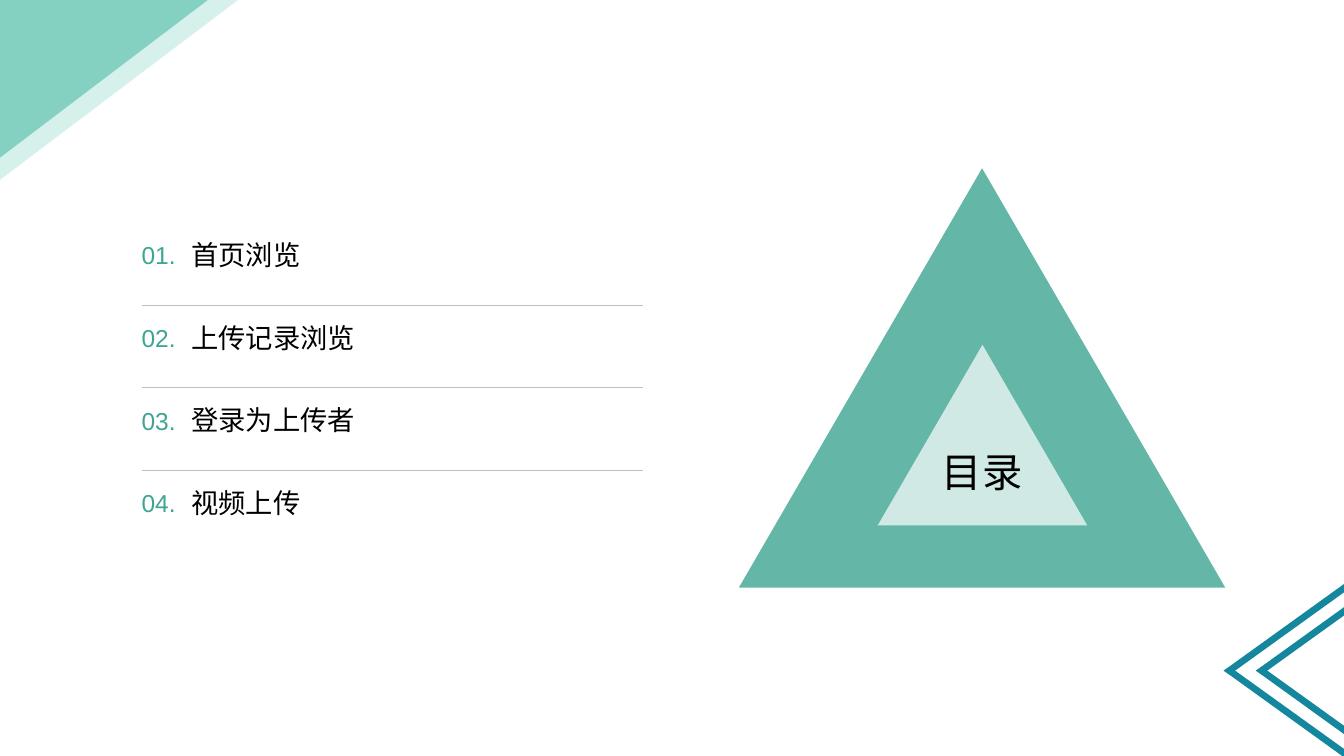
import pptx
import pptx.util
import pptx.dml.color
import pptx.enum.shapes
import pptx.enum.text
import pptx.oxml
import pptx.oxml.ns

Cm = pptx.util.Cm
SHAPES = pptx.enum.shapes.MSO_SHAPE
ALIGN = pptx.enum.text.PP_ALIGN
ANCHOR = pptx.enum.text.MSO_ANCHOR
qn = pptx.oxml.ns.qn

SLIDE_W, SLIDE_H = 33.87, 19.05
TEAL, INK = "3EA592", "000000"
TOPICS = ["首页浏览", "上传记录浏览", "登录为上传者", "视频上传"]


def color(hex_value):
    return pptx.dml.color.RGBColor.from_string(hex_value)


def paint(shape, hex_value, opacity=100):
    shape.shadow.inherit = False
    shape.line.fill.background()
    shape.fill.solid()
    shape.fill.fore_color.rgb = color(hex_value)
    if opacity < 100:
        srgb = shape.fill._xPr.find(".//" + qn("a:srgbClr"))
        alpha = srgb.makeelement(qn("a:alpha"), {"val": str(opacity * 1000)})
        srgb.append(alpha)


def add_preset(slide, preset, box, hex_value, opacity=100):
    shape = slide.shapes.add_shape(preset, *map(Cm, box))
    paint(shape, hex_value, opacity)
    return shape


def add_text(slide, box, text, size, hex_value, inset=(0.25, 0.13),
             wrap=True, anchor=ANCHOR.MIDDLE, align=ALIGN.LEFT):
    frame = slide.shapes.add_textbox(*map(Cm, box)).text_frame
    frame.margin_left = frame.margin_right = Cm(inset[0])
    frame.margin_top = frame.margin_bottom = Cm(inset[1])
    frame.word_wrap = wrap
    frame.vertical_anchor = anchor
    frame.text = text
    paragraph = frame.paragraphs[0]
    paragraph.alignment = align
    font = paragraph.runs[0].font
    font.name = "Arial"
    font.size = pptx.util.Pt(size)
    font.color.rgb = color(hex_value)


def add_divider(slide, left, right, y):
    divider = slide.shapes.add_connector(
        pptx.enum.shapes.MSO_CONNECTOR.STRAIGHT, Cm(left), Cm(y), Cm(right), Cm(y))
    divider.line.color.rgb = color("BFBFBF")
    divider.line.width = pptx.util.Pt(0.25)
    properties = divider._element.spPr
    properties.append(properties.makeelement(qn("a:effectLst"), {}))


def top_left_corner(slide, left, top):
    for width, height, tint in [(6.02, 4.55, "D6F0EB"), (5.26, 3.99, "84D1C2")]:
        corner = add_preset(slide, SHAPES.RIGHT_TRIANGLE,
                            (left, top, width, height), tint)
        corner._element.spPr.find(qn("a:xfrm")).set("flipV", "1")


def bottom_right_chevrons(slide, right, axis):
    slope, thickness = 0.72, 0.21
    for run in (3.03, 2.22):
        tip = right - run
        # Upper arm, then its mirror below the axis
        for side in (-1, 1):
            reach = run * slope
            corners = [(tip, axis), (tip + 0.15, axis - side * 0.1),
                       (right, axis + side * (reach - thickness)),
                       (right, axis + side * reach)]
            points = [(Cm(x), Cm(y)) for x, y in corners]
            builder = slide.shapes.build_freeform(*points[0], scale=1.0)
            builder.add_line_segments(points[1:], close=True)
            paint(builder.convert_to_shape(), "14879E")


def topic_list(slide, left, top, width, pitch):
    title_indent = 1
    for index, topic in enumerate(TOPICS):
        row = top + index * pitch
        add_text(slide, (left, row + 0.2, 0.95, 0.71), f"{index + 1:02d}.", 17.5,
                 TEAL, inset=(0, 0), wrap=False, anchor=ANCHOR.TOP)
        add_text(slide, (left + title_indent, row, width - title_indent, 1.12),
                 topic, 19.5, INK)
        if index < len(TOPICS) - 1:
            add_divider(slide, left, left + width, row + 1.82)


def contents_emblem(slide, left, top, width, height):
    add_preset(slide, SHAPES.ISOSCELES_TRIANGLE, (left, top, width, height), TEAL, 80)
    # Pale triangle with the heading
    add_preset(slide, SHAPES.ISOSCELES_TRIANGLE,
               (left + 3.5, top + 4.45, 5.28, 4.55), "FFFFFF", 70)
    heading_w = 3.12
    add_text(slide, (left + (width - heading_w) / 2, top + 6.91, heading_w, 1.47),
             "目录", 28.8, INK, wrap=False, align=ALIGN.CENTER)


def main():
    deck = pptx.Presentation()
    deck.slide_width, deck.slide_height = Cm(SLIDE_W), Cm(SLIDE_H)
    slide = deck.slides.add_slide(deck.slide_layouts[6])
    top_left_corner(slide, -0.02, 0)
    bottom_right_chevrons(slide, SLIDE_W, 16.9)
    topic_list(slide, 3.57, 5.86, 12.63, 2.08)
    contents_emblem(slide, 18.62, 4.24, 12.26, 10.57)
    deck.save("out.pptx")


if __name__ == "__main__":
    main()
